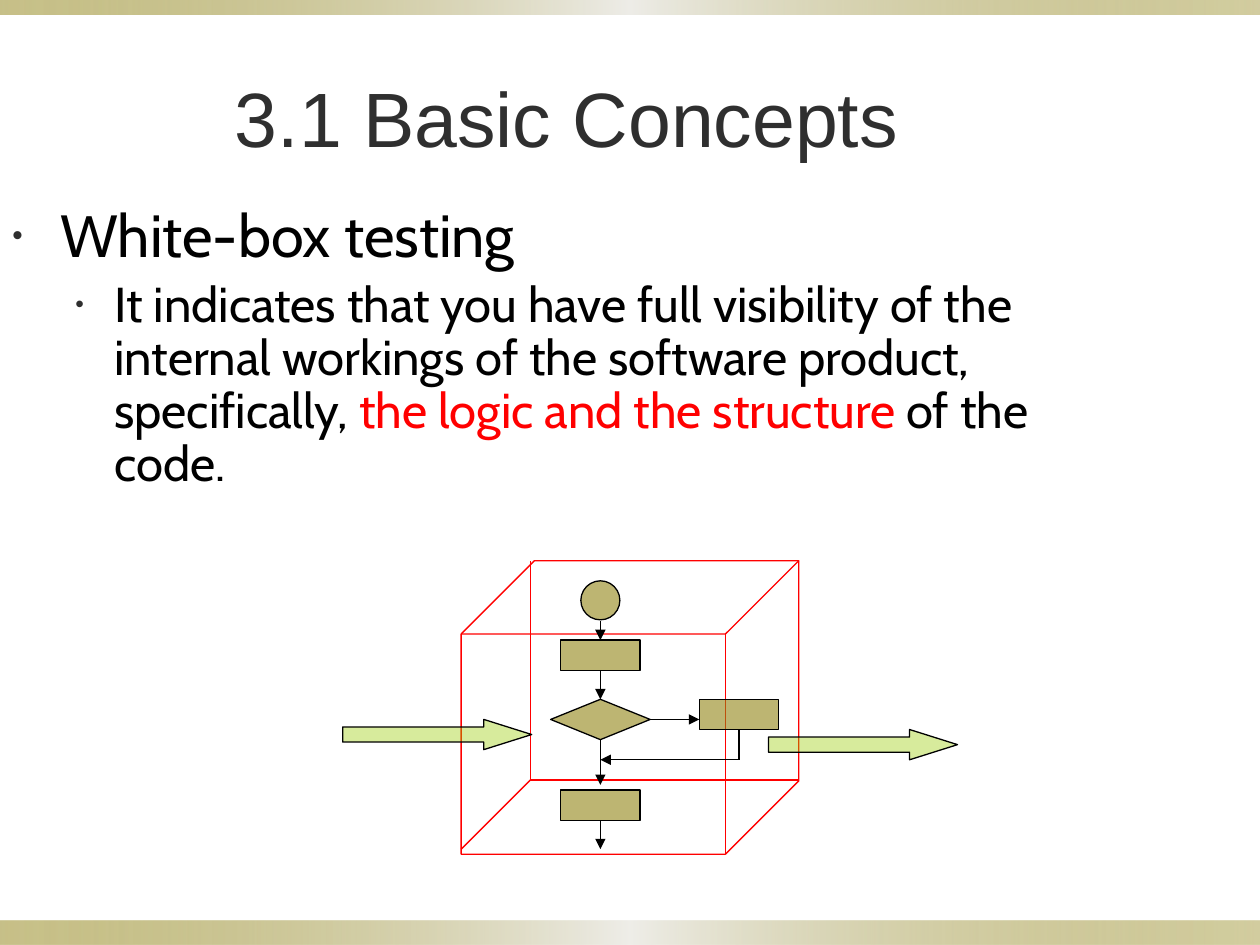
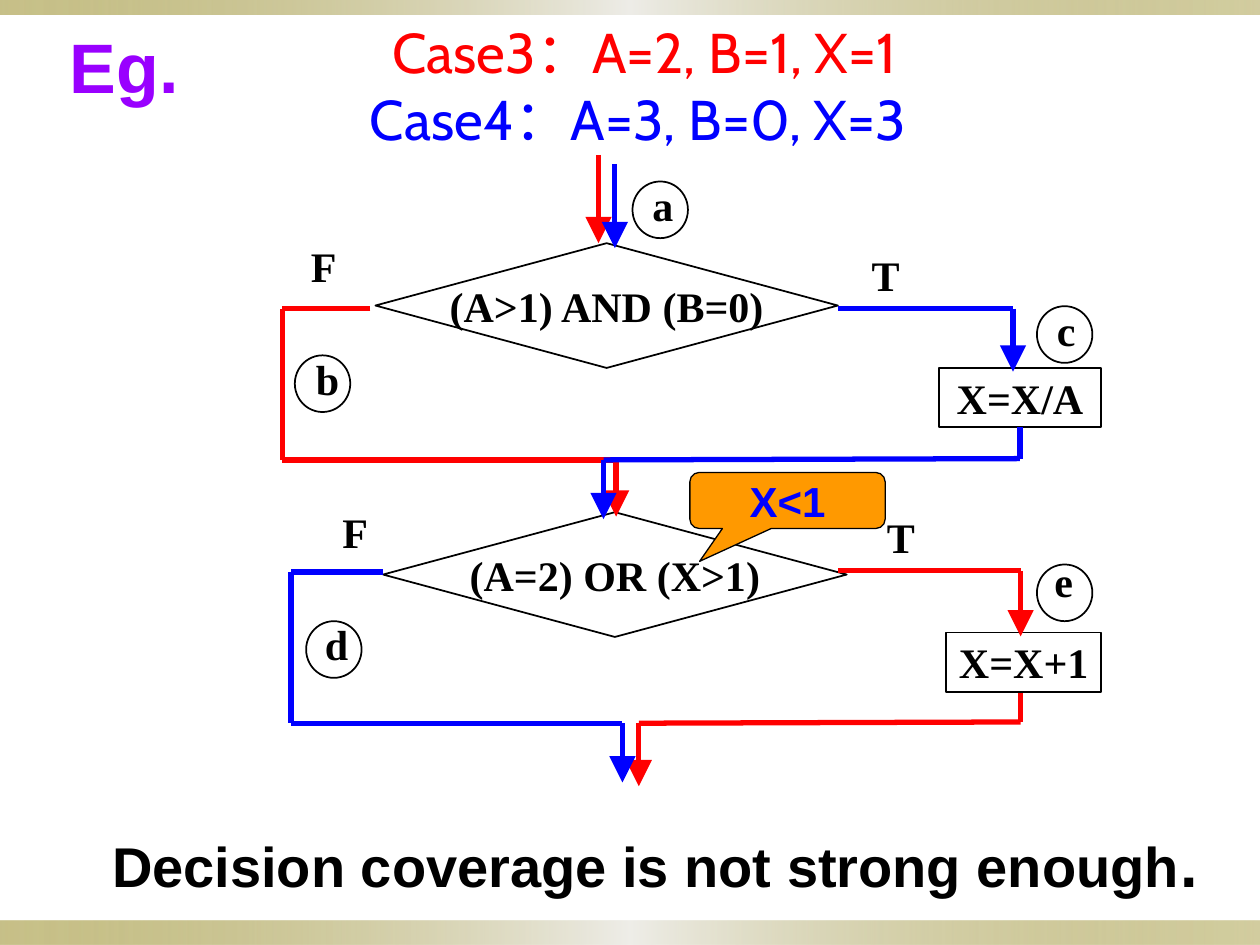
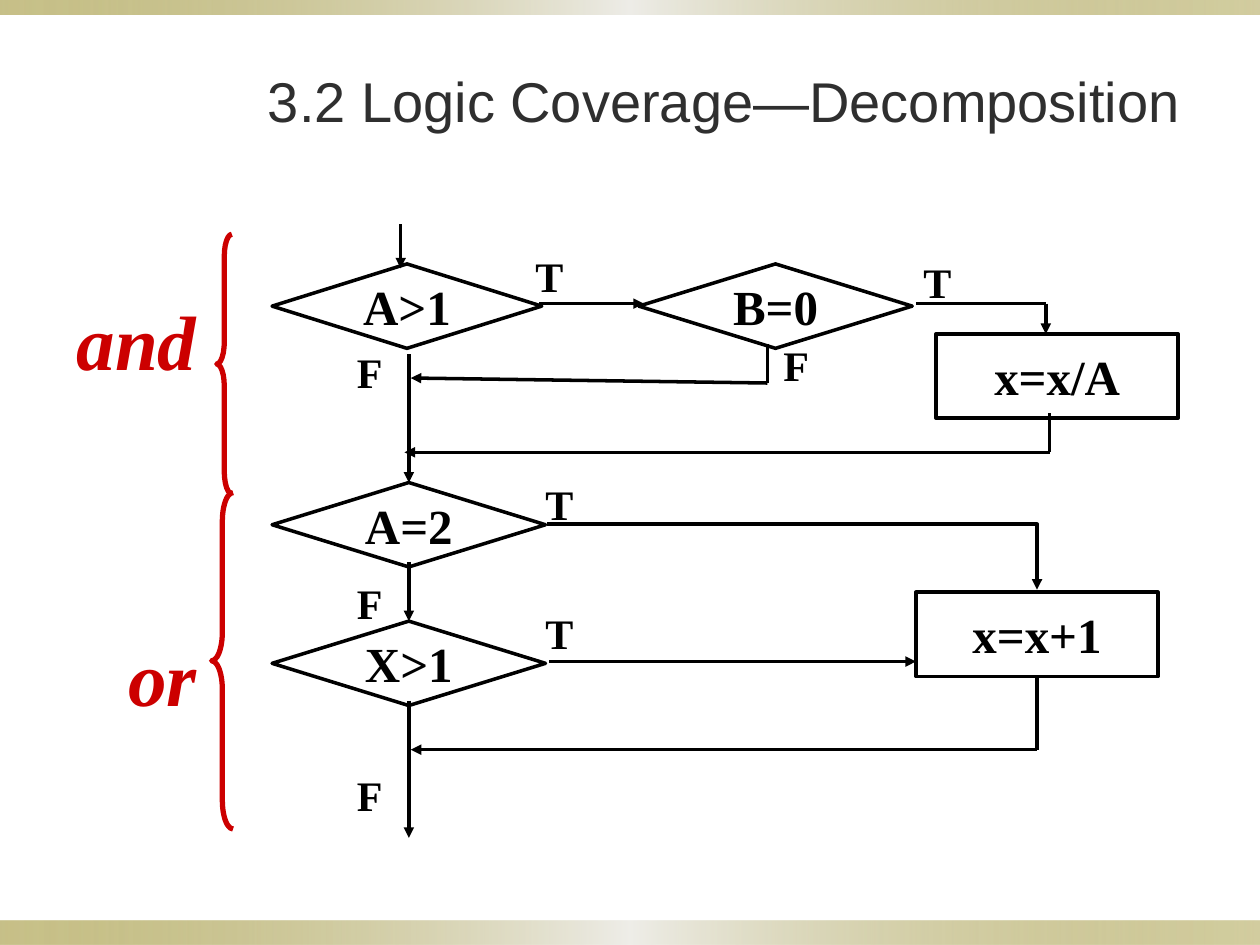
from collections import namedtuple
from itertools import pairwise
from lxml import etree
from pptx import Presentation
from pptx.dml.color import RGBColor
from pptx.enum.shapes import MSO_CONNECTOR as Wire, MSO_SHAPE as Form, MSO_SHAPE_TYPE as Kind
from pptx.enum.text import MSO_ANCHOR as Anchor, PP_ALIGN as Align
from pptx.oxml.ns import qn
from pptx.util import Inches, Pt

WIDE, HIGH = Inches(10), Inches(7.5)
COLS = 100
CELL = WIDE / COLS
SNAP = 0.12
OLIVE, LIME, GREY, BLACK = "918415", "99CC00", "2F2F2F", "000000"
RED, BLUE, WHITE, CRIMSON = "FF0000", "0000FF", "FFFFFF", "CC0000"
SERIF = "Times New Roman"

Face = namedtuple("Face", "size tone font bold slant", defaults=(BLACK, "Arial", False, False))
Pen = namedtuple("Pen", "tone width tip", defaults=("med",))

HEAD = Face(44, GREY)
SIGN = Face(24, BLACK, SERIF, True)
STEP = Face(28, BLACK, SERIF, True)
GROUP = Face(44, CRIMSON, SERIF, True, True)
THIN, EDGE, BOLD = Pen(BLACK, 0.75), Pen(BLACK, 1), Pen(BLACK, 2)
FRAME, BRACE = Pen(RED, 0.75), Pen(CRIMSON, 3)


def ink(code):
    return RGBColor.from_string(code)


def grid(*cells):
    return [round(n * CELL) for n in cells]


def sub(node, tag, **attrs):
    return etree.SubElement(node, qn(tag), attrs)


def fade(color, share):
    sub(color, "a:alpha", val=str(share * 1000))


def write(para, runs):
    for words, face in runs:
        run = para.add_run()
        run.text = words
        font = run.font
        font.size, font.name = Pt(face.size), face.font
        font.bold, font.italic = face.bold, face.slant
        font.color.rgb = ink(face.tone)


def text(slide, box, paras, align=Align.LEFT, anchor=Anchor.MIDDLE):
    frame = slide.shapes.add_textbox(*grid(*box)).text_frame
    frame.word_wrap, frame.vertical_anchor = True, anchor
    for i, runs in enumerate(paras):
        para = frame.add_paragraph() if i else frame.paragraphs[0]
        para.alignment = align
        write(para, runs)
    return frame


def title(slide, box, words, face=HEAD):
    text(slide, box, [[(words, face)]], Align.CENTER)


def label(slide, x, y, words, face=SIGN, wide=4.4):
    text(slide, (x, y, wide, face.size / 5), [[(words, face)]], anchor=Anchor.TOP)


def bullet(para, left, hang, before):
    props = para._p.get_or_add_pPr()
    props.set("marL", str(Inches(left)))
    props.set("indent", str(-Inches(hang)))
    para.line_spacing = 0.9
    para.space_before = Pt(before)
    sub(sub(props, "a:buClr"), "a:srgbClr", val=GREY)
    sub(props, "a:buSzPct", val="50000")
    sub(props, "a:buFont", typeface="Arial")
    sub(props, "a:buChar", char="•")


def block(slide, form, box, pen=None, fill=None, alpha=100, adj=(), words="", face=SIGN):
    shape = slide.shapes.add_shape(form, *grid(*box))
    shape.shadow.inherit = False
    for i, value in enumerate(adj):
        shape.adjustments[i] = value
    if fill:
        shape.fill.solid()
        shape.fill.fore_color.rgb = ink(fill)
        if alpha < 100:
            fade(shape.fill._xPr.find(qn("a:solidFill"))[0], alpha)
    else:
        shape.fill.background()
    if pen:
        shape.line.color.rgb, shape.line.width = ink(pen.tone), Pt(pen.width)
    else:
        shape.line.fill.background()
    if words:
        frame = shape.text_frame
        frame.word_wrap, frame.vertical_anchor = False, Anchor.MIDDLE
        frame.paragraphs[0].alignment = Align.CENTER
        write(frame.paragraphs[0], [(words, face)])
    return shape


def band(slide, y, tall):
    shape = block(slide, Form.RECTANGLE, (0, y, COLS, tall))
    shape.fill.gradient()
    shape.fill.gradient_angle = 0
    stops = shape.fill._xPr.find(qn("a:gradFill")).find(qn("a:gsLst"))
    for stop in list(stops):
        stops.remove(stop)
    for place, tone, share in ((0, OLIVE, 50), (50, "EEEDE8", 100), (100, OLIVE, 40)):
        stop = sub(stops, "a:gs", pos=str(place * 1000))
        fade(sub(stop, "a:srgbClr", val=tone), share)


def dock(slide, x, y):
    for shape in slide.shapes:
        if shape.shape_type != Kind.AUTO_SHAPE:
            continue
        if shape.auto_shape_type not in (Form.RECTANGLE, Form.DIAMOND):
            continue
        l, t, w, h = (n / CELL for n in (shape.left, shape.top, shape.width, shape.height))
        sides = ((l + w / 2, t), (l, t + h / 2), (l + w / 2, t + h), (l + w, t + h / 2))
        for site, (a, b) in enumerate(sides):
            if max(abs(a - x), abs(b - y)) < SNAP:
                return shape, site
    return None


def link(slide, start, stop, pen, head=False, wire=Wire.STRAIGHT):
    line = slide.shapes.add_connector(wire, *grid(*start, *stop))
    line.line.color.rgb, line.line.width = ink(pen.tone), Pt(pen.width)
    if head:
        sub(line.line._get_or_add_ln(), "a:tailEnd", type="triangle", w=pen.tip, len=pen.tip)
    sub(line._element.spPr, "a:effectLst")
    if wire == Wire.STRAIGHT:
        for spot, join in ((start, line.begin_connect), (stop, line.end_connect)):
            found = dock(slide, *spot)
            if found:
                join(*found)
    else:
        line._element.spPr.find(qn("a:prstGeom")).set("prst", "bentConnector2")


def route(slide, pen, *spots):
    legs = list(pairwise(spots))
    for i, (start, stop) in enumerate(legs, 1):
        link(slide, start, stop, pen, i == len(legs))


def page(deck):
    slide = deck.slides.add_slide(deck.slide_layouts[6])
    band(slide, 73.04, 1.96)
    band(slide, 0, 1.17)
    return slide


def basics(deck):
    slide = page(deck)
    title(slide, (0, 3, 90, 12.5), "3.1 Basic Concepts")
    big, small = Face(34, BLACK, "Cabin"), Face(28, BLACK, "Cabin")
    frame = text(slide, (0, 15.9, 89.9, 55.2), [
        [("White-box testing", big)],
        [("It indicates that you have full visibility of the internal workings of the "
          "software product, specifically, ", small),
         ("the logic and the structure ", small._replace(tone=RED)),
         ("of the code.", small)],
    ], anchor=Anchor.TOP)
    bullet(frame.paragraphs[0], 0.38, 0.38, 0)
    frame.paragraphs[1].level = 1
    bullet(frame.paragraphs[1], 0.81, 0.31, 5.6)

    block(slide, Form.CUBE, (36.6, 44.5, 26.8, 23.3), FRAME, adj=(0.25,))
    back = (42.1, 61.9)
    for spot in ((42.1, 44.5), (63.4, 61.9), (36.6, 67.4)):
        link(slide, back, spot, FRAME)
    for x, y in ((61, 57.9), (27.2, 57.1)):
        block(slide, Form.RIGHT_ARROW, (x, y, 15, 2.4), THIN, LIME, 39, (0.5, 1.585))
    for form, *box in (
        (Form.OVAL, 46.1, 46.1, 3.1, 3.1),
        (Form.RECTANGLE, 44.5, 50.8, 6.3, 2.4),
        (Form.DIAMOND, 43.7, 55.5, 7.9, 3.2),
        (Form.RECTANGLE, 44.5, 62.7, 6.3, 2.4),
        (Form.RECTANGLE, 55.5, 55.5, 6.3, 2.4),
    ):
        block(slide, form, box, THIN, OLIVE, 60)
    mid = 47.65
    for top, end in ((49.3, 50.8), (53.2, 55.5), (58.7, 62.3), (65.1, 67.4)):
        route(slide, THIN, (mid, top), (mid, end))
    route(slide, THIN, (51.6, 57.1), (55.5, 57.1))
    route(slide, THIN, (58.65, 57.9), (58.65, 60.3), (mid, 60.3))


def cases(deck):
    slide = page(deck)
    case = Face(32, RED, "Cabin")
    text(slide, (21.6, 1.2, 59.1, 11), [
        [("Case3：A=2, B=1, X=1", case)],
        [("Case4：A=3, B=0, X=3 ", case._replace(tone=BLUE))],
    ], Align.CENTER)
    close = Face(32, bold=True)
    frame = text(slide, (4.7, 64.25, 91.4, 8.4), [
        [("Decision coverage is not strong enough", close), (".", close._replace(size=36))]])
    frame.margin_left, frame.margin_right = Inches(0.42), 0

    for form, box, words in (
        (Form.DIAMOND, (29.8, 19.3, 36.7, 9.9), "(A>1) AND (B=0)"),
        (Form.DIAMOND, (30.4, 40.65, 36.8, 9.9), "(A=2) OR (X>1)"),
        (Form.RECTANGLE, (74.5, 29.2, 12.9, 4.7), "X=X/A"),
        (Form.RECTANGLE, (75.1, 50.2, 12.3, 4.7), "X=X+1"),
    ):
        block(slide, form, box, EDGE, words=words)
    for x, y, shift, rise, words in (
        (50.2, 14.4, 0.6, 0.65, "a"), (23.4, 28.2, 0.7, 0.65, "b"), (82.3, 24.3, 0.6, 0.6, "c"),
        (24.3, 49.3, 0.5, 0.7, "d"), (82.3, 44.8, 0.4, 1.2, "e"),
    ):
        block(slide, Form.OVAL, (x, y, 4.4, 4.5), EDGE, WHITE)
        label(slide, x + shift, y - rise, words)
    for x, y, words in ((23.7, 18.6, "F"), (26.2, 39.7, "F"), (68.2, 19.3, "T"), (69.4, 40.1, "T")):
        label(slide, x, y, words)

    red, blue = Pen(RED, 3, "lg"), Pen(BLUE, 3, "lg")
    for pen, *spots in (
        (red, (47.5, 12.3), (47.5, 19.3)),
        (red, (29.4, 24.5), (22.4, 24.5), (22.4, 36.5), (48.9, 36.5), (48.9, 41)),
        (red, (66.5, 45.3), (81, 45.3), (81, 50.5)),
        (red, (81, 55), (81, 57.3), (50.7, 57.4), (50.7, 62.4)),
        (blue, (48.8, 13), (48.8, 19.7)),
        (blue, (66.5, 24.5), (80.4, 24.5), (80.4, 29.5)),
        (blue, (80.95, 33.9), (80.95, 36.4), (47.9, 36.5), (47.9, 41.2)),
        (blue, (30.4, 45.4), (23.1, 45.4), (23.1, 57.4), (49.4, 57.4), (49.4, 62.1)),
    ):
        route(slide, pen, *spots)
    block(slide, Form.ROUNDED_RECTANGULAR_CALLOUT, (54.75, 37.5, 15.5, 4.45), THIN, "FF9900",
          adj=(-0.45, 1.086, 0.167), words="X<1", face=Face(24, BLUE, bold=True))
    title(slide, (0, 1.25, 19.7, 7.9), "Eg.", Face(40, "9900FF", bold=True))


def split(deck):
    slide = page(deck)
    title(slide, (15, 1.7, 85, 12.5), "3.2 Logic Coverage—Decomposition", HEAD._replace(size=32))
    label(slide, 5.1, 22.8, "and", GROUP, 13)
    label(slide, 9.2, 49.5, "or", GROUP, 9)
    block(slide, Form.LEFT_BRACE, (17.2, 18.6, 1.2, 20.6), BRACE, adj=(1.455, 0.5))
    block(slide, Form.LEFT_BRACE, (16.8, 39.1, 1.7, 26.7), BRACE, adj=(1.333, 0.5))
    for form, x, y, w, words in (
        (Form.DIAMOND, 21.6, 20.95, 21.4, "A>1"), (Form.DIAMOND, 50.7, 20.95, 21.7, "B=0"),
        (Form.DIAMOND, 21.6, 38.3, 21.7, "A=2"), (Form.DIAMOND, 21.6, 49.3, 21.7, "X>1"),
        (Form.RECTANGLE, 74.3, 26.5, 19.2, "x=x/A"), (Form.RECTANGLE, 72.7, 47, 19.2, "x=x+1"),
    ):
        block(slide, form, (x, y, w, 6.7), BOLD, words=words, face=STEP)
    for x, y in ((41.5, 19.4), (72.3, 19.9), (42.3, 37.5), (42.3, 47.7)):
        label(slide, x, y, "T")
    for x, y in ((61.2, 26.45), (27.35, 27), (27.35, 45.35), (27.35, 60.6)):
        label(slide, x, y, "F")

    trunk = 32.45
    for top, end in ((28.1, 38.3), (44.6, 49.3), (55.6, 66.5)):
        route(slide, BOLD, (trunk, top), (trunk, end))
    for spots in (
        ((31.8, 17.8), (31.8, 21.3)),
        ((42.8, 24.1), (51.1, 24.1)),
        ((72.7, 24.1), (83, 24.1), (83, 26.5)),
        ((60.9, 27.3), (60.9, 30.4), (32.6, 30)),
        ((83.3, 32.8), (83.3, 35.9), (32.1, 35.9)),
        ((43.6, 52.5), (72.7, 52.5)),
        ((82.3, 53.7), (82.3, 59.5), (32.6, 59.5)),
    ):
        route(slide, BOLD, *spots)
    link(slide, (43.4, 41.6), (82.3, 46.8), BOLD, True, Wire.ELBOW)


def main():
    deck = Presentation()
    deck.slide_width, deck.slide_height = WIDE, HIGH
    for draw in (basics, cases, split):
        draw(deck)
    deck.save("out.pptx")


if __name__ == "__main__":
    main()
